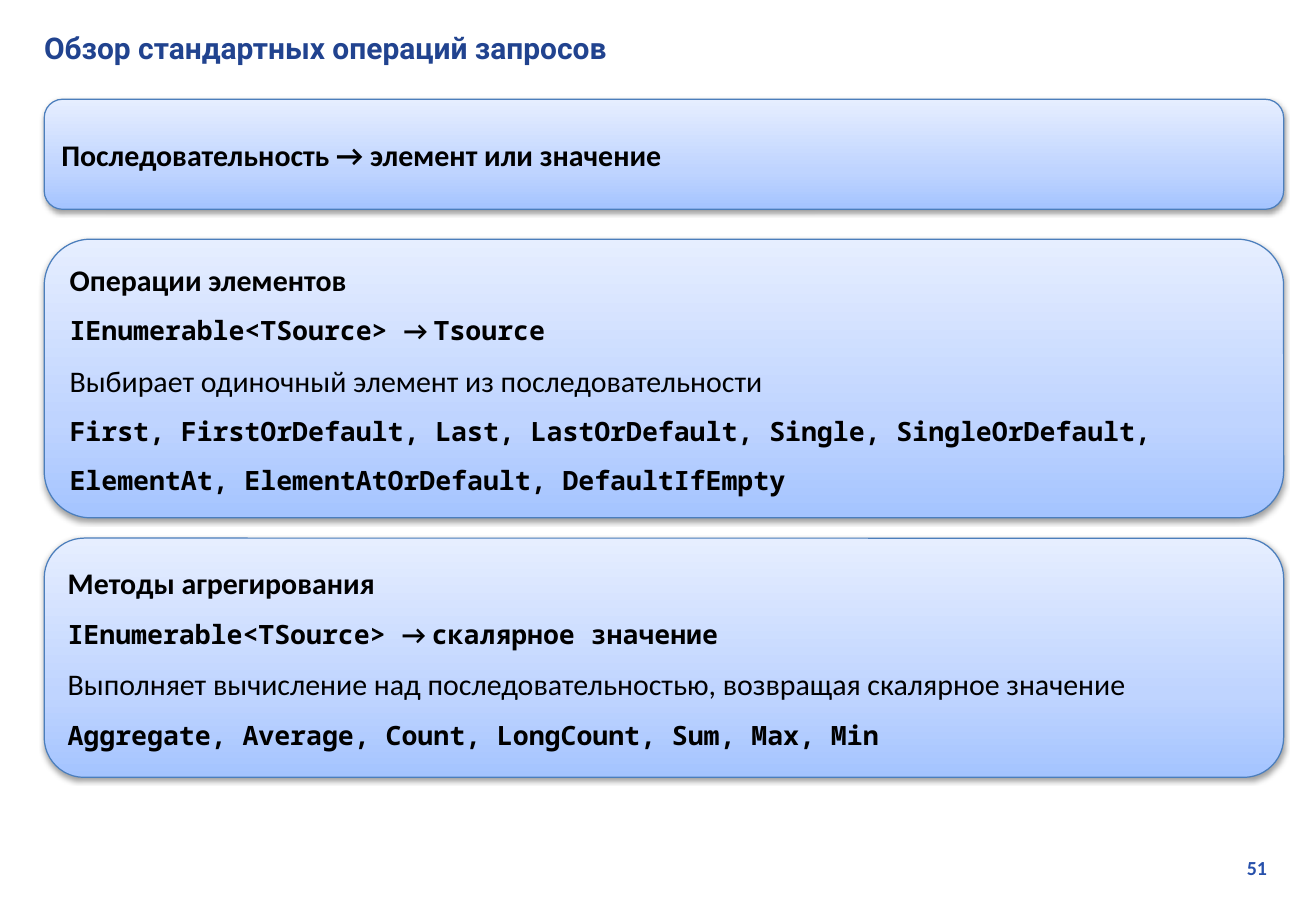
from pptx import Presentation
from pptx.dml.color import RGBColor
from pptx.enum.shapes import MSO_SHAPE
from pptx.enum.text import MSO_ANCHOR, PP_ALIGN
from pptx.oxml import parse_xml
from pptx.oxml.ns import nsdecls
from pptx.util import Pt

ROUNDED = MSO_SHAPE.ROUNDED_RECTANGLE
MIDDLE = MSO_ANCHOR.MIDDLE
LEFT, RIGHT, JUSTIFY = PP_ALIGN.LEFT, PP_ALIGN.RIGHT, PP_ALIGN.JUSTIFY

EMU_PER_PX = 9144  # 100 px to the inch
PANEL_LEFT, PANEL_WIDTH = 37, 1036
GRADIENT = [(0, "A4C4FF"), (35, "BFD4FF"), (100, "E6EEFF")]
BODY, CODE = "Calibri", "Noto Sans Mono"


def px(length):
    return length * EMU_PER_PX


def box(*lengths):
    return [px(length) for length in lengths]


def color(hex_string):
    return RGBColor.from_string(hex_string)


def add_text(paragraph, text, size=18, font=BODY, bold=True, ink="000000"):
    run = paragraph.add_run()
    run.text = text
    run.font.size = Pt(size)
    run.font.name = font
    run.font.bold = bold
    run.font.color.rgb = color(ink)


def add_label(slide, bounds, text, align=LEFT, **text_format):
    frame = slide.shapes.add_textbox(*box(*bounds)).text_frame
    frame.word_wrap = True
    frame.vertical_anchor = MIDDLE
    frame.paragraphs[0].alignment = align
    add_text(frame.paragraphs[0], text, **text_format)


def style_panel(panel):
    # Gradient from light at the top to blue at the bottom
    stops = "".join(
        f'<a:gs pos="{percent * 1000}"><a:srgbClr val="{tint}"/></a:gs>'
        for percent, tint in GRADIENT
    )
    panel.element.spPr.append(parse_xml(
        f'<a:gradFill {nsdecls("a")} rotWithShape="1"><a:gsLst>{stops}</a:gsLst>'
        '<a:lin ang="16200000" scaled="0"/></a:gradFill>'
    ))
    panel.line.color.rgb = color("4B7EBC")
    panel.line.width = Pt(0.75)
    # Soft shadow below the panel
    panel.shadow.inherit = False
    panel.element.spPr[-1].append(parse_xml(
        f'<a:outerShdw {nsdecls("a")} blurRad="40000" dist="20000" dir="5400000" '
        'rotWithShape="0"><a:srgbClr val="000000"><a:alpha val="38000"/>'
        '</a:srgbClr></a:outerShdw>'
    ))


def add_panel(slide, top, height, lines):
    """Each line is (alignment, runs); each run is (text, format)."""
    panel = slide.shapes.add_shape(ROUNDED, *box(PANEL_LEFT, top, PANEL_WIDTH, height))
    style_panel(panel)
    frame = panel.text_frame
    frame.word_wrap = True
    frame.vertical_anchor = MIDDLE
    for index, (align, runs) in enumerate(lines):
        paragraph = frame.add_paragraph() if index else frame.paragraphs[0]
        paragraph.alignment = align
        paragraph.space_after = Pt(10)
        for text, text_format in runs:
            add_text(paragraph, text, **text_format)


def heading(text):
    return LEFT, [(text, {})]


def description(text, align=LEFT):
    return align, [(text, {"bold": False})]


def methods(text):
    return LEFT, [(text, {"size": 16, "font": CODE})]


def signature(result, align=LEFT):
    code = {"size": 16, "font": CODE}
    return align, [("IEnumerable<TSource> ", code), ("→ ", {"size": 16}), (result, code)]


def main():
    presentation = Presentation()
    presentation.slide_width, presentation.slide_height = box(1100, 750)
    slide = presentation.slides.add_slide(presentation.slide_layouts[6])

    # Page number and title
    add_label(slide, (836, 710, 233, 30), "51", align=RIGHT, size=12, ink="2750AB")
    add_label(slide, (27, 20, 1050, 40), "Обзор стандартных операций запросов",
              font="Roboto", ink="21438F")

    # Topic
    add_panel(slide, 83, 92, [heading("Последовательность → элемент или значение")])

    # Element operations
    add_panel(slide, 200, 233, [
        heading("Операции элементов"),
        signature("Tsource"),
        description("Выбирает одиночный элемент из последовательности"),
        methods("First, FirstOrDefault, Last, LastOrDefault, Single, SingleOrDefault,"),
        methods("ElementAt, ElementAtOrDefault, DefaultIfEmpty"),
    ])

    # Aggregation methods
    add_panel(slide, 450, 200, [
        heading("Методы агрегирования"),
        signature("скалярное значение", align=JUSTIFY),
        description("Выполняет вычисление над последовательностью, "
                    "возвращая скалярное значение", align=JUSTIFY),
        methods("Aggregate, Average, Count, LongCount, Sum, Max, Min"),
    ])

    presentation.save("out.pptx")


if __name__ == "__main__":
    main()
